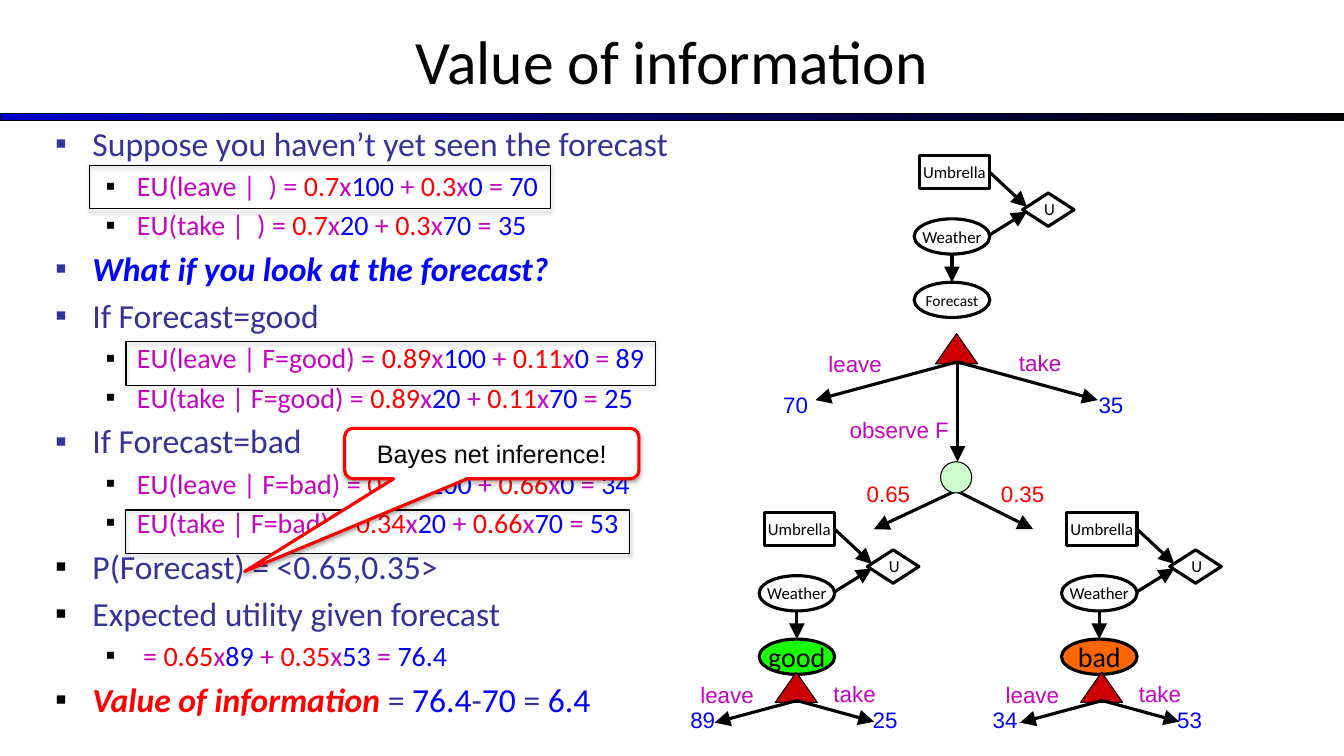
from lxml.etree import SubElement
from pptx import Presentation
from pptx.dml.color import RGBColor
from pptx.enum.shapes import MSO_CONNECTOR, MSO_SHAPE
from pptx.enum.text import MSO_ANCHOR, PP_ALIGN
from pptx.oxml.ns import qn
from pptx.util import Pt

BLACK = RGBColor(0x00, 0x00, 0x00)
WHITE = RGBColor(0xFF, 0xFF, 0xFF)
NAVY = RGBColor(0x33, 0x33, 0x99)
BLUE = RGBColor(0x00, 0x00, 0xFF)
BAR_BLUE = RGBColor(0x00, 0x00, 0xCC)
RED = RGBColor(0xFF, 0x00, 0x00)
DARK_RED = RGBColor(0xCC, 0x00, 0x00)
PURPLE = RGBColor(0xC5, 0x05, 0xBF)
GREEN = RGBColor(0x18, 0xFF, 0x00)
PALE_GREEN = RGBColor(0xCC, 0xFF, 0xCC)
ORANGE = RGBColor(0xFF, 0x66, 0x00)


def utility(lead, p, gain, q, other, total):
    """Runs of one expected-utility sum: probabilities red, utilities blue."""
    parts = (lead + " = ", PURPLE), (p, RED), ("x", PURPLE), (gain, BLUE), (" + ", PURPLE), \
        (q, RED), ("x", PURPLE), (other, BLUE), (" = ", PURPLE), (total, BLUE)
    return [(words, colour, False) for words, colour in parts]


# Content: (level, bullet colour, runs of (words, colour, emphasis))
TITLE = "Value of information"
POINTS = [
    (0, NAVY, [("Suppose you haven’t yet seen the forecast", NAVY, False)]),
    (1, BLACK, utility("EU(leave |  )", "0.7", "100", "0.3", "0", "70")),
    (1, BLACK, utility("EU(take |  )", "0.7", "20", "0.3", "70", "35")),
    (0, NAVY, [("What if you look at the forecast?", BLUE, True)]),
    (0, NAVY, [("If Forecast=good", NAVY, False)]),
    (1, BLACK, utility("EU(leave | F=good)", "0.89", "100", "0.11", "0", "89")),
    (1, BLACK, utility("EU(take | F=good)", "0.89", "20", "0.11", "70", "25")),
    (0, NAVY, [("If Forecast=bad", NAVY, False)]),
    (1, BLACK, utility("EU(leave | F=bad)", "0.34", "100", "0.66", "0", "34")),
    (1, BLACK, utility("EU(take | F=bad)", "0.34", "20", "0.66", "70", "53")),
    (0, BLACK, [("P(Forecast) = <0.65,0.35>", NAVY, False)]),
    (0, BLACK, [("Expected utility given forecast", NAVY, False)]),
    (1, BLACK, utility("", "0.65", "89", "0.35", "53", "76.4")),
    (0, BLACK, [("Value of information ", RED, True), ("= ", NAVY, False), ("76.4", BLUE, False),
                ("-", NAVY, False), ("70", BLUE, False), (" = ", NAVY, False),
                ("6.4", BLUE, False)]),
]
# level: size, left margin, hanging indent, space before
LEVELS = {0: (24, 26.6, 26.6, 4.7), 1: (20, 58.3, 22.3, 4)}

# left, top, forecast node: words, size, fill
NETWORKS = [
    (758.2, 365.8, "bad", 20, ORANGE),
    (542.2, 365.8, "good", 20, GREEN),
    (653, 110.9, "Forecast", 11, None),
]
BEST_CHOICES = [(64.1, 118.1, 329, 31), (90, 244.1, 378, 31), (90, 364.3, 360, 31)]

# Offsets from the top left of a tree's triangle
SMALL = {"tips": [(-43.2, 36), (70.6, 35.3)], "acts": [(-60.5, 2.9), (34.6, 2.2)]}
LARGE = {"tips": [(-85.7, 47.5), (115.9, 47.5)], "acts": [(-83.5, 8.6), (52.6, 7.9)]}
# left, top, layout, (utility, offset) for leave and take
TREES = [
    (771.8, 480.2, SMALL, [("34", (-69.8, 20.9)), ("53", (61.9, 20.9))]),
    (668.2, 238.3, LARGE, [("70", (-115.9, 37.4)), ("35", (109.4, 37.4))]),
    (553.7, 480.2, SMALL, [("89", (-67.7, 20.9)), ("25", (62.6, 20.9))]),
]
CHANCES = [("0.35", 707.8, (683.3, 350.6), (738, 378)),
           ("0.65", 612, (682.6, 350.6), (624.2, 378))]

deck = Presentation()
deck.slide_width, deck.slide_height = Pt(960), Pt(540)
slide = deck.slides.add_slide(deck.slide_layouts[6])
shapes = slide.shapes


def put(target, values):
    for name, value in values.items():
        setattr(target, name, value)


def add_run(paragraph, words, size, colour, face="Calibri", emphasis=False):
    run = paragraph.add_run()
    run.text = words
    put(run.font, {"name": face, "size": Pt(size), "bold": emphasis, "italic": emphasis})
    run.font.color.rgb = colour


def write(holder, words, size, colour, face="Calibri", align=PP_ALIGN.CENTER,
          anchor=MSO_ANCHOR.MIDDLE, wrap=False):
    put(holder.text_frame, {"word_wrap": wrap, "vertical_anchor": anchor})
    paragraph = holder.text_frame.paragraphs[0]
    paragraph.alignment = align
    add_run(paragraph, words, size, colour, face)


def style(part, fill, line, weight):
    part.shadow.inherit = False
    if fill is None:
        part.fill.background()
    else:
        part.fill.solid()
        part.fill.fore_color.rgb = fill
    part.line.color.rgb = line
    part.line.width = Pt(weight)
    return part


def add_node(preset, box, fill, line=BLACK, weight=0.75):
    return style(shapes.add_shape(preset, *map(Pt, box)), fill, line, weight)


def add_box(*box):
    return shapes.add_textbox(*map(Pt, box))


def add_label(words, left, top, width, colour):
    write(add_box(left, top, width, 26.6), words, 16, colour, "Arial",
          PP_ALIGN.LEFT, MSO_ANCHOR.TOP)


def add_arrow(start, end):
    arrow = shapes.add_connector(MSO_CONNECTOR.STRAIGHT, *map(Pt, (*start, *end)))
    arrow.line.color.rgb = BLACK
    arrow.line.width = Pt(2.25)
    SubElement(arrow.line._get_or_add_ln(), qn("a:tailEnd"), type="triangle", w="lg", len="lg")
    SubElement(arrow._element.spPr, qn("a:effectLst"))


def cast_shadow(part):
    effects = part._element.spPr.find(qn("a:effectLst"))
    shade = SubElement(effects, qn("a:outerShdw"), blurRad=str(Pt(3.1)), dist=str(Pt(1.8)),
                       dir="5400000", rotWithShape="0")
    SubElement(SubElement(shade, qn("a:srgbClr"), val=str(BLACK)), qn("a:alpha"), val="35000")


# Title and rule
bar = add_node(MSO_SHAPE.RECTANGLE, (0, 81.4, 960, 5), BAR_BLUE)
bar.fill.gradient()
bar.fill.gradient_angle = 0
for stop, colour in zip(bar.fill.gradient_stops, (BAR_BLUE, BLACK)):
    stop.color.rgb = colour
write(add_box(0, -2.2, 960, 90), TITLE, 44, BLACK, wrap=True)

# Worked sums
sums = add_box(32.4, 84.2, 512, 372).text_frame
sums.word_wrap = True
for index, (level, bullet_colour, runs) in enumerate(POINTS):
    paragraph = sums.add_paragraph() if index else sums.paragraphs[0]
    size, margin, hang, gap = LEVELS[level]
    props = paragraph._p.get_or_add_pPr()
    props.set("marL", str(Pt(margin)))
    props.set("indent", str(-Pt(hang)))
    SubElement(SubElement(props, qn("a:buClr")), qn("a:srgbClr"), val=str(bullet_colour))
    SubElement(props, qn("a:buFont"), typeface="Arial")
    SubElement(props, qn("a:buChar"), char="▪")
    paragraph.level = level
    if index:
        paragraph.space_before = Pt(gap)
    for words, colour, emphasis in runs:
        add_run(paragraph, words, size, colour, emphasis=emphasis)

# Decision networks
for left, top, forecast, size, fill in NETWORKS:
    nodes = [(MSO_SHAPE.OVAL, "Weather", 12, WHITE, (left, top + 45.4, 54, 25.2)),
             (MSO_SHAPE.OVAL, forecast, size, fill, (left, top + 90.7, 54, 25.2)),
             (MSO_SHAPE.RECTANGLE, "Umbrella", 12, WHITE, (left + 3.6, top, 50.4, 23.8))]
    add_arrow((left + 27, top + 70.6), (left + 27, top + 90.7))
    for preset, words, node_size, node_fill, box in nodes:
        write(add_node(preset, box, node_fill, weight=2.25), words, node_size, BLACK)
    x, y = left + 77.4, top + 27
    diamond = shapes.build_freeform(Pt(x + 18.4), Pt(y))
    diamond.add_line_segments([(Pt(x), Pt(y + 11.9)), (Pt(x + 18.4), Pt(y + 23.8)),
                               (Pt(x + 36.8), Pt(y + 11.9))], close=True)
    style(diamond.convert_to_shape(), WHITE, BLACK, 2.25)
    write(add_box(left + 85.7, top + 27.4, 18, 21.6), "U", 12, BLACK)
    add_arrow((left + 53.8, top + 12), (left + 80.6, top + 37))
    add_arrow((left + 53.8, top + 57), (left + 80.6, top + 40.3))

# Frames around the better choice
for box in BEST_CHOICES:
    cast_shadow(add_node(MSO_SHAPE.RECTANGLE, box, None))

# Decision trees
for left, top, layout, utilities in TREES:
    add_node(MSO_SHAPE.ISOSCELES_TRIANGLE, (left, top, 30.2, 21.6), DARK_RED)
    branches = zip(("leave", "take"), (53.3, 45.4), layout["tips"], layout["acts"], utilities)
    for act, width, tip, spot, (value, corner) in branches:
        add_arrow((left + 15.5, top + 20.2), (left + tip[0], top + tip[1]))
        add_label(act, left + spot[0], top + spot[1], width, PURPLE)
        add_label(value, left + corner[0], top + corner[1], 32.4, BLUE)

# Observing the forecast
add_arrow((684, 257.8), (684, 329.8))
add_label("observe F", 599.8, 293.8, 86.4, PURPLE)
for chance, label_left, start, end in CHANCES:
    add_arrow(start, end)
    add_label(chance, label_left, 339.1, 46, RED)
add_node(MSO_SHAPE.OVAL, (671.8, 329.8, 22.3, 22.3), PALE_GREEN)

# Callout
callout = add_node(MSO_SHAPE.ROUNDED_RECTANGULAR_CALLOUT, (246.2, 306, 210.2, 36), WHITE, RED, 2.25)
for index, value in enumerate((-0.84, 2.34, 0.17)):
    callout.adjustments[index] = value
cast_shadow(callout)
write(callout, "Bayes net inference!", 18, BLACK, "Arial", wrap=True)

deck.save("out.pptx")
